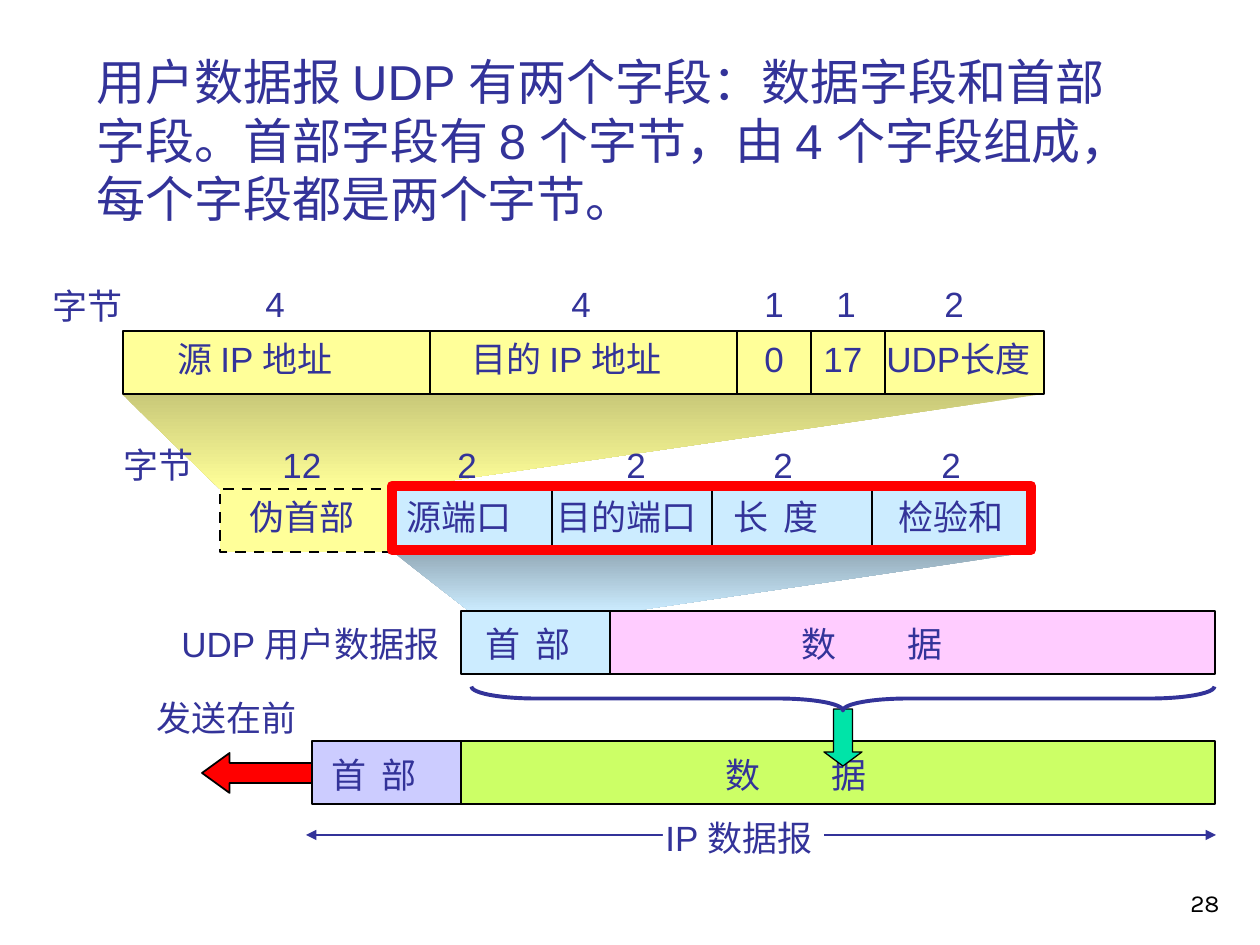
from dataclasses import dataclass
from typing import NamedTuple

from lxml import etree
from pptx import Presentation
from pptx import util as u
from pptx.dml.color import RGBColor
from pptx.enum import dml, shapes, text
from pptx.oxml.ns import qn

SCALE = 914400 / 126  # EMU per px
ROW = 63  # height of every field row


@dataclass(frozen=True)
class Theme:
    ink: str = "333399"
    black: str = "000000"
    white: str = "FFFFFF"
    yellow: str = "FFFF99"
    olive: str = "C9C979"
    sky: str = "CCECFF"
    slate: str = "94ABB9"
    lilac: str = "CCCCFF"
    pink: str = "FFCCFF"
    lime: str = "CCFF66"
    red: str = "FF0000"
    green: str = "00E4A8"
    font: str = "Arial"
    digit: str = "Karla"
    title: int = 28
    label: int = 20
    page: int = 14


T = Theme()
KIND = shapes.MSO_SHAPE


class Bar(NamedTuple):
    x: int
    y: int
    w: int
    fill: str
    line: float = 1.5
    cuts: tuple[int, ...] = ()


class Label(NamedTuple):
    x: int
    y: int
    w: int
    words: str
    tab: int = 0


def px(n: float) -> int:
    return round(n * SCALE)


def rgb(code: str) -> RGBColor:
    return RGBColor.from_string(code)


def paint(item, fill: str = "", line: str = "", width: float = 1) -> None:
    item.shadow.inherit = False
    if fill:
        item.fill.solid()
        item.fill.fore_color.rgb = rgb(fill)
    else:
        item.fill.background()
    if line:
        item.line.color.rgb = rgb(line)
        item.line.width = u.Pt(width)
    else:
        item.line.fill.background()


def shape(slide, kind, box: tuple, adj: tuple = (), **look):
    item = slide.shapes.add_shape(kind, *map(px, box))
    for i, val in enumerate(adj):
        item.adjustments[i] = val
    paint(item, **look)
    return item


def outline(slide, pts: list, close: bool = True, **look):
    pen = slide.shapes.build_freeform(*map(px, pts[0]), scale=1.0)
    pen.add_line_segments([(px(x), px(y)) for x, y in pts[1:]], close=close)
    item = pen.convert_to_shape()
    paint(item, **look)
    return item


def beam(slide, pts: list, top: str, base: str) -> None:
    fill = outline(slide, pts).fill
    fill.gradient()
    fill.gradient_angle = 270
    for stop, code in zip(fill.gradient_stops, (top, base)):
        stop.color.rgb = rgb(code)


def rule(slide, ends: tuple, color: str = T.black, heads: bool = False) -> None:
    item = slide.shapes.add_connector(shapes.MSO_CONNECTOR.STRAIGHT, *map(px, ends))
    item.line.color.rgb = rgb(color)
    item.line.width = u.Pt(0.75)
    if heads:
        for tag in ("a:headEnd", "a:tailEnd"):
            etree.SubElement(item.line._get_or_add_ln(), qn(tag), type="triangle")
    etree.SubElement(item._element.spPr, qn("a:effectLst"))


def bar(slide, row: Bar) -> None:
    shape(slide, KIND.RECTANGLE, (row.x, row.y, row.w, ROW),
          fill=row.fill, line=T.black, width=row.line)
    for x in row.cuts:
        rule(slide, (x, row.y, x, row.y + ROW))


def write(item, words: str, size: int = T.label, font: str = T.font,
          color: str = T.ink, align=text.PP_ALIGN.LEFT,
          anchor=text.MSO_ANCHOR.TOP, wrap: bool = True, tab: int = 0) -> None:
    frame = item.text_frame
    frame.word_wrap = wrap
    frame.auto_size = text.MSO_AUTO_SIZE.NONE
    frame.vertical_anchor = anchor
    para = frame.paragraphs[0]
    para.alignment = align
    if tab:
        stops = etree.SubElement(para._p.get_or_add_pPr(), qn("a:tabLst"))
        etree.SubElement(stops, qn("a:tab"), pos=str(px(tab)), algn="l")
    run = para.add_run()
    run.text = words
    run.font.size = u.Pt(size)
    run.font.name = font
    run.font.color.rgb = rgb(color)


def label(slide, item: Label) -> None:
    box = slide.shapes.add_textbox(*map(px, (item.x, item.y, item.w, 55)))
    write(box, item.words, wrap=bool(item.tab), tab=item.tab)


BARS = [
    Bar(123, 331, 921, T.yellow, cuts=(430, 737, 811, 885)),
    Bar(393, 489, 639, T.sky, cuts=(552, 712, 872)),
    Bar(461, 611, 149, T.sky, 1),
    Bar(610, 611, 605, T.pink, 1),
    Bar(461, 741, 754, T.lime),
    Bar(312, 741, 149, T.lilac),
]

# Byte counts: top of the row, then (left, width, count)
COUNTS = {
    276: [(253, 44, "4"), (559, 44, "4"), (752, 44, "1"), (824, 44, "1"), (932, 44, "2")],
    437: [(270, 64, "12"), (445, 44, "2"), (614, 44, "2"), (761, 44, "2"), (929, 44, "2")],
}

LABELS = [
    Label(40, 278, 95, "字节"),
    Label(165, 331, 207, "源 IP 地址"),
    Label(459, 331, 242, "目的 IP 地址"),
    Label(752, 331, 44, "0"),
    Label(811, 331, 64, "17"),
    Label(874, 331, 178, "UDP长度"),
    Label(111, 437, 95, "字节"),
    Label(237, 489, 130, "伪首部"),
    Label(394, 489, 130, "源端口"),
    Label(544, 489, 165, "目的端口"),
    Label(721, 489, 130, "长\t度", 50),
    Label(886, 489, 130, "检验和"),
    Label(169, 616, 292, "UDP 用户数据报"),
    Label(473, 616, 130, "首\t部", 50),
    Label(789, 616, 253, "数\t据", 106),
    Label(144, 690, 165, "发送在前"),
    Label(319, 747, 130, "首\t部", 50),
    Label(713, 747, 253, "数\t据", 106),
    Label(653, 810, 181, "IP 数据报"),
]


def main() -> None:
    deck = Presentation()
    deck.slide_width, deck.slide_height = px(1260), px(945)
    slide = deck.slides.add_slide(deck.slide_layouts[5])

    # Title
    head = slide.shapes.title
    head.left, head.top, head.width, head.height = map(px, (84, 45, 1075, 189))
    write(head, "用户数据报 UDP 有两个字段：数据字段和首部字段。首部字段有 8 个字节，"
          "由 4 个字段组成，每个字段都是两个字节。", size=T.title)

    # Beams that widen one field into the row above it
    beam(slide, [(393, 552), (1031, 552), (626, 612), (469, 611)], T.slate, T.sky)
    beam(slide, [(122, 394), (1043, 394), (393, 489), (220, 489)], T.olive, T.yellow)

    # Field rows
    for row in BARS:
        bar(slide, row)
    pseudo = outline(slide, [(393, 552), (220, 552), (220, 489), (393, 489)],
                     close=False, fill=T.yellow, line=T.black, width=1.5)
    pseudo.line.dash_style = dml.MSO_LINE.DASH

    # Span of the IP datagram
    rule(slide, (306, 835, 1216, 835), T.ink, heads=True)
    shape(slide, KIND.RECTANGLE, (663, 814, 161, 40), fill=T.white)

    # Labels
    for y, row in COUNTS.items():
        for x, w, count in row:
            label(slide, Label(x, y, w, count))
    for item in LABELS:
        label(slide, item)

    # Arrows, brace and red frame
    shape(slide, KIND.LEFT_ARROW, (202, 753, 110, 40), (0.5, 0.69),
          fill=T.red, line=T.black)
    shape(slide, KIND.DOWN_ARROW, (824, 709, 38, 57), (0.5, 0.37),
          fill=T.green, line=T.black, width=0.75)
    brace = shape(slide, KIND.LEFT_BRACE, (831, 327, 24, 743), (2.7, 0.5),
                  line=T.ink, width=2.25)
    brace.rotation = 270
    shape(slide, KIND.RECTANGLE, (392, 486, 639, 64), line=T.red, width=6)

    # Page number
    page = slide.shapes.add_textbox(*map(px, (970, 861, 262, 63)))
    write(page, "28", size=T.page, font=T.digit, color=T.black,
          align=text.PP_ALIGN.RIGHT, anchor=text.MSO_ANCHOR.BOTTOM)

    deck.save("out.pptx")


if __name__ == "__main__":
    main()
